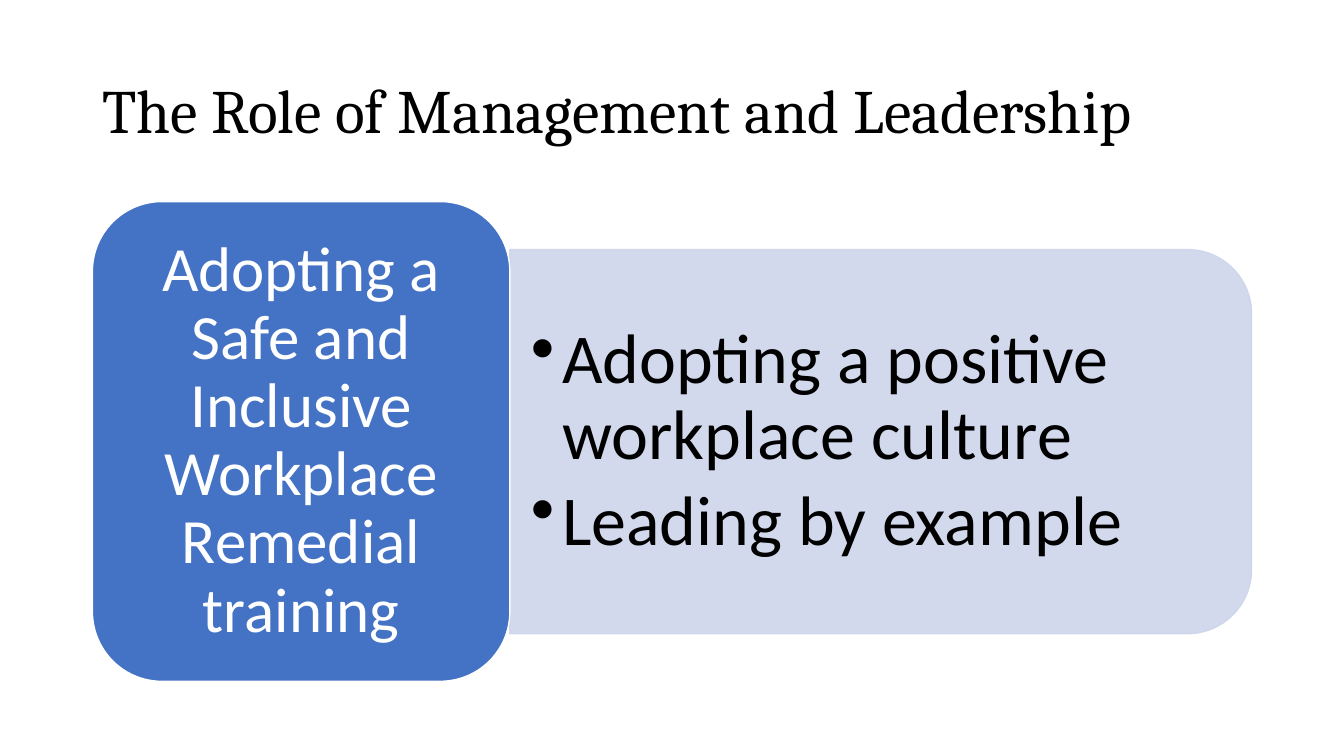
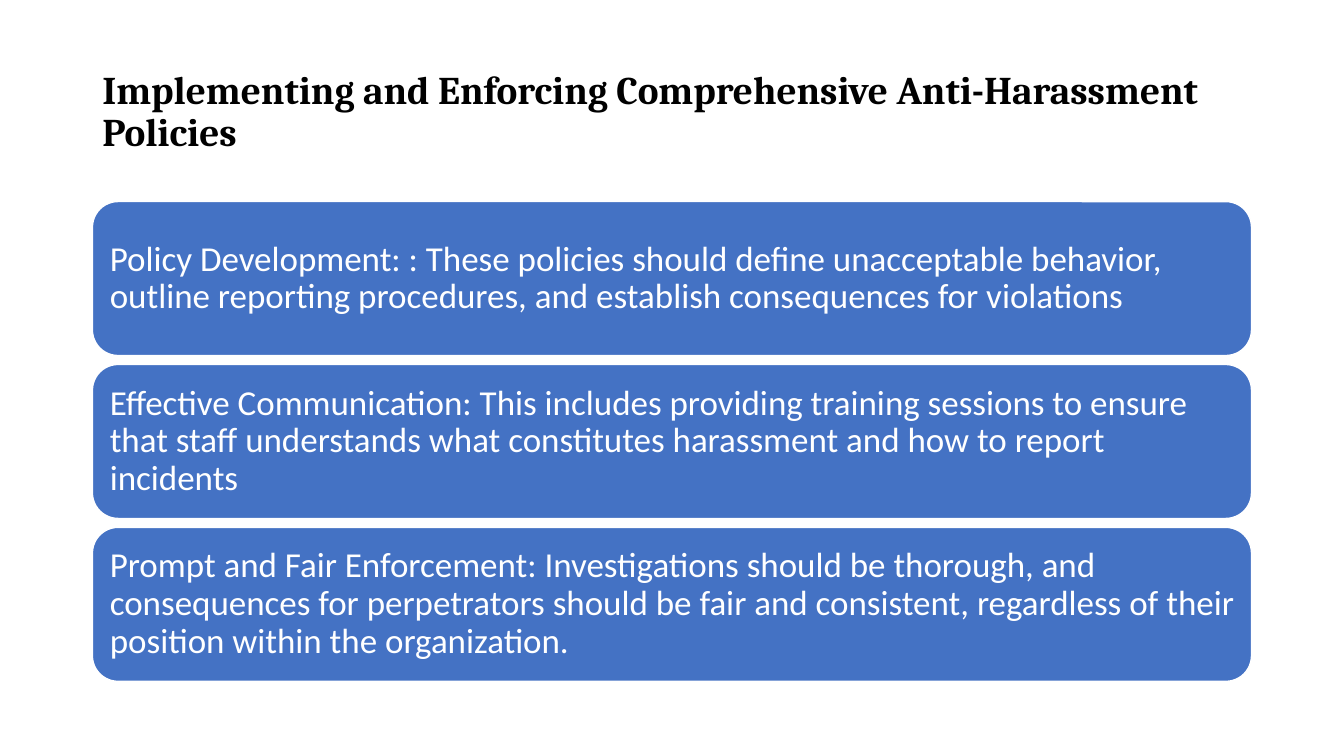
from dataclasses import dataclass

import lxml.etree
import pptx
import pptx.dml.color
import pptx.enum.shapes
import pptx.enum.text
import pptx.oxml.ns
import pptx.util

Cm = pptx.util.Cm
Pt = pptx.util.Pt
Align = pptx.enum.text.PP_ALIGN
Shape = pptx.enum.shapes.MSO_SHAPE

COLOURS = {"ink": "000000", "paper": "FFFFFF", "card": "4472C4", "panel": "CFD5EA"}
TITLE_FONT = "Cambria"
BODY_FONT = "Calibri"
LINE_SPACING = 0.9
LEFT, TOP, WIDTH, HEIGHT = 2.33, 5.08, 29.21, 12.09
CARD_HEIGHT = 3.88


@dataclass(frozen=True)
class Frame:
    left: float
    top: float
    width: float
    height: float

    def lengths(self) -> tuple:
        return Cm(self.left), Cm(self.top), Cm(self.width), Cm(self.height)


@dataclass(frozen=True)
class TextStyle:
    size: float
    colour: str
    space_after: float = 0
    margin_x: float = 0.25
    margin_y: float = 0.25
    font: str = BODY_FONT
    bold: bool = False
    align: Align = Align.LEFT
    bullet: bool = False


@dataclass(frozen=True)
class Card:
    frame: Frame
    text: str
    style: TextStyle


LEAD_STYLE = TextStyle(45, "paper", 15.75, 0.48, 0.24, align=Align.CENTER)
POINT_STYLE = TextStyle(50, "ink", 7.5, 0.53, bullet=True)
POLICY_STYLE = TextStyle(25, "paper", 8.75)

LEAD = Card(
    Frame(LEFT, TOP, 10.52, HEIGHT),
    "Adopting a Safe and Inclusive Workplace Remedial training",
    LEAD_STYLE,
)
PANEL = Frame(12.85, 6.29, 18.69, 9.68)
PANEL_TEXT = Frame(12.85, 6.76, 18.21, 8.74)
POINTS = ["Adopting a positive workplace culture", "Leading by example"]
POLICIES = [
    "Policy Development: : These policies should define unacceptable behavior, "
    "outline reporting procedures, and establish consequences for violations",
    "Effective Communication: This includes providing training sessions to ensure "
    "that staff understands what constitutes harassment and how to report incidents",
    "Prompt and Fair Enforcement: Investigations should be thorough, and consequences "
    "for perpetrators should be fair and consistent, regardless of their position "
    "within the organization.",
]


def rgb(name: str) -> pptx.dml.color.RGBColor:
    return pptx.dml.color.RGBColor.from_string(COLOURS[name])


def add_bullet(para) -> None:
    properties = para._p.get_or_add_pPr()
    properties.set("marL", str(Cm(0.79)))
    properties.set("indent", str(-Cm(0.79)))
    bullet = lxml.etree.SubElement(properties, pptx.oxml.ns.qn("a:buChar"))
    bullet.set("char", "•")


def write(shape, lines: list[str], style: TextStyle) -> None:
    frame = shape.text_frame
    frame.text = "\n".join(lines)
    frame.word_wrap = True
    frame.auto_size = pptx.enum.text.MSO_AUTO_SIZE.NONE
    frame.vertical_anchor = pptx.enum.text.MSO_ANCHOR.MIDDLE
    frame.margin_left = frame.margin_right = Cm(style.margin_x)
    frame.margin_top = frame.margin_bottom = Cm(style.margin_y)
    for para in frame.paragraphs:
        if style.bullet:
            add_bullet(para)
        para.alignment = style.align
        para.line_spacing = LINE_SPACING
        para.space_before = Pt(0)
        para.space_after = Pt(style.space_after)
        for span in para.runs:
            span.font.name = style.font
            span.font.size = Pt(style.size)
            span.font.bold = style.bold
            span.font.color.rgb = rgb(style.colour)


def add_page(deck, title: str, size: float, bold: bool = False):
    page = deck.slides.add_slide(deck.slide_layouts[5])
    box = page.shapes.title
    box.left, box.top, box.width, box.height = Frame(LEFT, 1.01, WIDTH, 3.68).lengths()
    style = TextStyle(size, "ink", margin_y=0.13, font=TITLE_FONT, bold=bold)
    write(box, [title], style)
    return page


def add_block(page, kind: Shape, frame: Frame, fill: str, line: str):
    block = page.shapes.add_shape(kind, *frame.lengths())
    block.shadow.inherit = False
    block.fill.solid()
    block.fill.fore_color.rgb = rgb(fill)
    block.line.color.rgb = rgb(line)
    block.line.width = Pt(1)
    return block


def add_card(page, card: Card) -> None:
    block = add_block(page, Shape.ROUNDED_RECTANGLE, card.frame, "card", "paper")
    write(block, [card.text], card.style)


def add_panel(page, frame: Frame) -> None:
    upright = Frame(
        frame.left + (frame.width - frame.height) / 2,
        frame.top + (frame.height - frame.width) / 2,
        frame.height,
        frame.width,
    )
    panel = add_block(page, Shape.ROUND_2_SAME_RECTANGLE, upright, "panel", "panel")
    panel.rotation = 90
    for colour in panel._element.spPr.iter(pptx.oxml.ns.qn("a:srgbClr")):
        lxml.etree.SubElement(colour, pptx.oxml.ns.qn("a:alpha")).set("val", "90000")


def build_leadership(deck) -> None:
    page = add_page(deck, "The Role of Management and Leadership", 44)
    add_panel(page, PANEL)
    write(page.shapes.add_textbox(*PANEL_TEXT.lengths()), POINTS, POINT_STYLE)
    add_card(page, LEAD)


def build_policies(deck) -> None:
    title = "Implementing and Enforcing Comprehensive Anti-Harassment Policies"
    page = add_page(deck, title, 28, bold=True)
    pitch = (HEIGHT - CARD_HEIGHT) / (len(POLICIES) - 1)
    for row, policy in enumerate(POLICIES):
        frame = Frame(LEFT, TOP + row * pitch, WIDTH, CARD_HEIGHT)
        add_card(page, Card(frame, policy, POLICY_STYLE))


def main() -> None:
    deck = pptx.Presentation()
    deck.slide_width = Cm(33.87)
    deck.slide_height = Cm(19.05)
    build_leadership(deck)
    build_policies(deck)
    deck.save("out.pptx")


if __name__ == "__main__":
    main()
